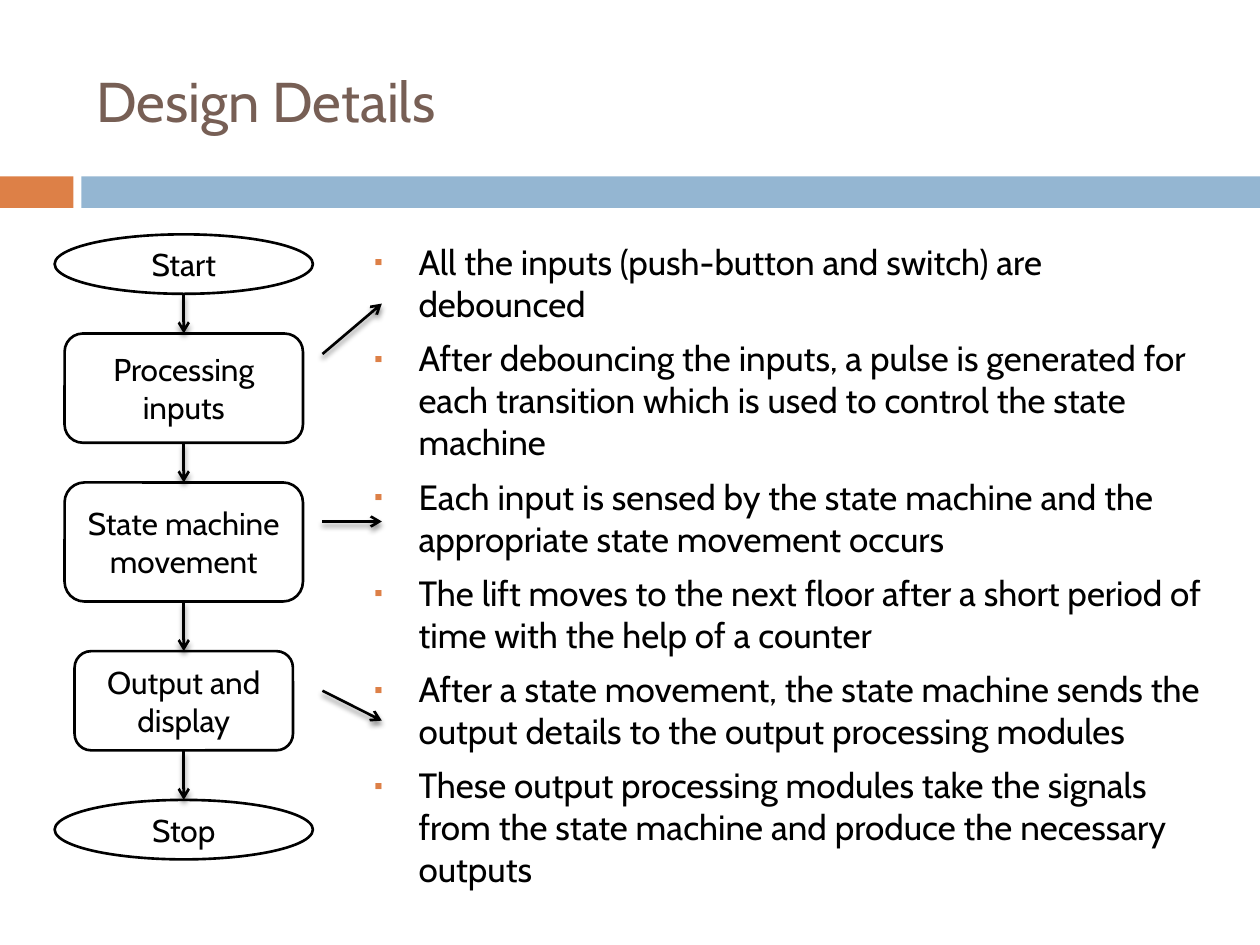
from lxml import etree
from pptx import Presentation
from pptx.dml.color import RGBColor
from pptx.enum.shapes import MSO_CONNECTOR, MSO_SHAPE
from pptx.enum.text import MSO_ANCHOR, PP_ALIGN
from pptx.oxml.ns import qn
from pptx.util import Pt

RECT, OVAL, ROUNDED = MSO_SHAPE.RECTANGLE, MSO_SHAPE.OVAL, MSO_SHAPE.ROUNDED_RECTANGLE
STRAIGHT = MSO_CONNECTOR.STRAIGHT
MIDDLE, TOP = MSO_ANCHOR.MIDDLE, MSO_ANCHOR.TOP
LEFT, CENTER = PP_ALIGN.LEFT, PP_ALIGN.CENTER

BLACK = RGBColor(0x00, 0x00, 0x00)
WHITE = RGBColor(0xFF, 0xFF, 0xFF)
BROWN = RGBColor(0x77, 0x5F, 0x55)
ORANGE = RGBColor(0xDD, 0x80, 0x47)
BLUE = RGBColor(0x94, 0xB6, 0xD2)


def add_xml(parent, tag, **attributes):
    return etree.SubElement(parent, qn(tag), attributes)


class SlideBuilder:
    font = "Cabin"
    line_width = 1.5

    def __init__(self, page):
        self.page = page

    def add_span(self, para, text, size, color):
        span = para.add_run()
        span.text = text
        span.font.name = self.font
        span.font.size = Pt(size)
        span.font.color.rgb = color

    def shape(self, kind, left, top, width, height, fill):
        box = self.page.shapes.add_shape(kind, Pt(left), Pt(top), Pt(width), Pt(height))
        box.shadow.inherit = False
        box.fill.solid()
        box.fill.fore_color.rgb = fill
        box.line.fill.background()
        return box

    def step(self, kind, center, top, width, height, text):
        box = self.shape(kind, center - width / 2, top, width, height, WHITE)
        box.line.color.rgb = BLACK
        box.line.width = Pt(self.line_width)
        box.text_frame.word_wrap = True
        box.text_frame.vertical_anchor = MIDDLE
        para = box.text_frame.paragraphs[0]
        para.alignment = CENTER
        self.add_span(para, text, 18, BLACK)
        return box

    def text_box(self, left, top, width, height, anchor):
        box = self.page.shapes.add_textbox(Pt(left), Pt(top), Pt(width), Pt(height))
        box.text_frame.word_wrap = True
        box.text_frame.vertical_anchor = anchor
        return box.text_frame

    def title(self, left, top, width, height, text):
        frame = self.text_box(left, top, width, height, MIDDLE)
        self.add_span(frame.paragraphs[0], text, 32, BROWN)

    def bullets(self, left, top, width, height, items):
        frame = self.text_box(left, top, width, height, TOP)
        for index, item in enumerate(items):
            para = frame.add_paragraph() if index else frame.paragraphs[0]
            para.alignment = LEFT
            para.space_before = Pt(7)
            props = para._p.get_or_add_pPr()
            props.set("marL", str(Pt(25.2)))
            props.set("indent", str(-Pt(25.2)))
            add_xml(add_xml(props, "a:buClr"), "a:srgbClr", val=str(ORANGE))
            add_xml(props, "a:buSzPct", val="60000")
            add_xml(props, "a:buFont", typeface=self.font)
            add_xml(props, "a:buChar", char="▪")
            self.add_span(para, item, 20, BLACK)

    def arrow(self, x1, y1, x2, y2):
        link = self.page.shapes.add_connector(STRAIGHT, Pt(x1), Pt(y1), Pt(x2), Pt(y2))
        link.line.color.rgb = BLACK
        link.line.width = Pt(self.line_width)
        props = link._element.spPr
        add_xml(props.get_or_add_ln(), "a:tailEnd", type="arrow")
        shadow = add_xml(add_xml(props, "a:effectLst"), "a:outerShdw", blurRad=str(Pt(3)),
                         dist=str(Pt(2.4)), dir="5400000", rotWithShape="0")
        add_xml(add_xml(shadow, "a:srgbClr", val=str(BLACK)), "a:alpha", val="45000")
        return link


def main():
    deck = Presentation()
    deck.slide_width, deck.slide_height = Pt(720), Pt(540)
    builder = SlideBuilder(deck.slides.add_slide(deck.slide_layouts[6]))

    # Header
    builder.shape(RECT, 0, 100.8, 42, 18, ORANGE)
    builder.shape(RECT, 46.5, 100.8, 673.5, 18, BLUE)
    builder.title(48, 18, 642, 78, "Design Details")

    # Explanations
    builder.bullets(206.9, 133.9, 493, 391, [
        "All the inputs (push-button and switch) are debounced",
        "After debouncing the inputs, a pulse is generated for each transition "
        "which is used to control the state machine",
        "Each input is sensed by the state machine and the appropriate state movement occurs",
        "The lift moves to the next floor after a short period of time with the help of a counter",
        "After a state movement, the state machine sends the output details "
        "to the output processing modules",
        "These output processing modules take the signals from the state machine "
        "and produce the necessary outputs",
    ])

    # Flowchart steps: kind, top, width, height, text
    center = 105
    steps = [
        (OVAL, 133.9, 147.6, 34, "Start"),
        (ROUNDED, 190.6, 136.2, 62.4, "Processing inputs"),
        (ROUNDED, 275.7, 136.2, 68, "State machine movement"),
        (ROUNDED, 372.1, 124.8, 56.7, "Output and display"),
        (OVAL, 457.1, 147.6, 34, "Stop"),
    ]
    boxes = [builder.step(kind, center, *rest) for kind, *rest in steps]

    # Flowchart arrows
    for upper, lower in zip(boxes, boxes[1:]):
        bottom = upper.top.pt + upper.height.pt
        link = builder.arrow(center, bottom, center, lower.top.pt)
        if upper.auto_shape_type != OVAL:  # an oval numbers its sites differently
            link.begin_connect(upper, 2)
        link.end_connect(lower, 0)

    # Arrows from the steps to their explanations
    for start, end in [(202.3, 173.5), (298, 298), (394.7, 411.8)]:
        builder.arrow(184.3, start, 218.2, end)

    deck.save("out.pptx")


if __name__ == "__main__":
    main()
